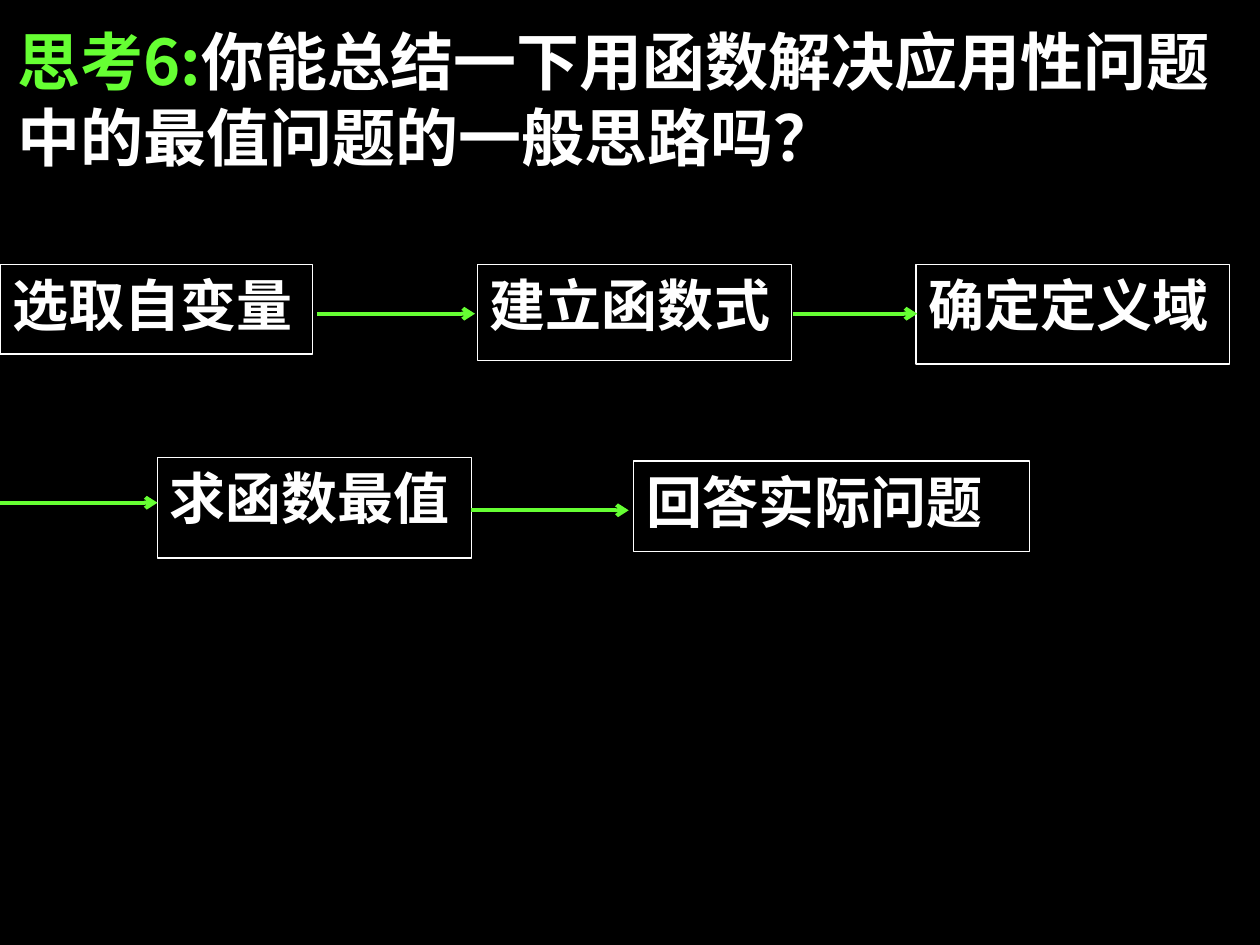
from lxml import etree
from pptx import Presentation, util as u
from pptx.dml.color import RGBColor
from pptx.enum import shapes, text
from pptx.oxml import ns

COLORS = {"background": "000000", "body": "FFFFFF", "accent": "66FF33"}
FONT = "Noto Sans CJK SC"
STEPS = [
    ("选取自变量", (0, 2.1, 2.48, 0.71)),
    ("建立函数式", (3.79, 2.1, 2.49, 0.76)),
    ("确定定义域", (7.27, 2.1, 2.49, 0.79)),
    ("求函数最值", (1.25, 3.63, 2.49, 0.8)),
    ("回答实际问题", (5.03, 3.66, 3.14, 0.72)),
]
ARROWS = [(2.52, 3.77, 2.49), (6.29, 7.28, 2.49), (0, 1.25, 3.99), (3.74, 4.99, 4.05)]


def color(name):
    """Return the named colour."""
    return RGBColor.from_string(COLORS[name])


def style_span(span, size, color_name):
    """Set a bold Latin and East Asian font on a run."""
    span.font.size = u.Pt(size)
    span.font.bold = True
    span.font.color.rgb = color(color_name)
    span.font.name = FONT
    etree.SubElement(span.font._element, ns.qn("a:ea"), typeface=FONT)


def add_question(page, area):
    """Place the two-coloured question in its area."""
    box = page.shapes.add_textbox(*map(u.Inches, area))
    box.text_frame.word_wrap = True
    para = box.text_frame.paragraphs[0]
    for words, name in (
        ("思考6:", "accent"),
        ("你能总结一下用函数解决应用性问题中的最值问题的一般思路吗？", "body"),
    ):
        span = para.add_run()
        span.text = words
        style_span(span, 36, name)


def add_step(page, words, area):
    """Place one outlined step of the solution."""
    box = page.shapes.add_shape(shapes.MSO_SHAPE.RECTANGLE, *map(u.Inches, area))
    box.shadow.inherit = False
    box.fill.background()
    box.line.color.rgb = color("body")
    box.line.width = u.Pt(0.75)
    frame = box.text_frame
    frame.word_wrap = True
    frame.vertical_anchor = text.MSO_ANCHOR.TOP
    frame.text = words
    para = frame.paragraphs[0]
    para.alignment = text.PP_ALIGN.JUSTIFY
    style_span(para.runs[0], 32, "body")


def add_arrow(page, left, right, height):
    """Draw a horizontal arrow pointing right."""
    ends = map(u.Inches, (left, height, right, height))
    arrow = page.shapes.add_connector(shapes.MSO_CONNECTOR.STRAIGHT, *ends)
    arrow.line.color.rgb = color("accent")
    arrow.line.width = u.Pt(2.25)
    outline = arrow.line._get_or_add_ln()
    etree.SubElement(outline, ns.qn("a:tailEnd"), type="arrow")
    etree.SubElement(arrow._element.spPr, ns.qn("a:effectLst"))


def main():
    """Build and save the slide."""
    deck = Presentation()
    deck.slide_width, deck.slide_height = u.Inches(10), u.Inches(7.5)
    page = deck.slides.add_slide(deck.slide_layouts[6])
    page.background.fill.solid()
    page.background.fill.fore_color.rgb = color("background")
    add_question(page, (0.04, 0.13, 9.96, 1.3))
    for words, area in STEPS:
        add_step(page, words, area)
    for left, right, height in ARROWS:
        add_arrow(page, left, right, height)
    deck.save("out.pptx")


if __name__ == "__main__":
    main()
